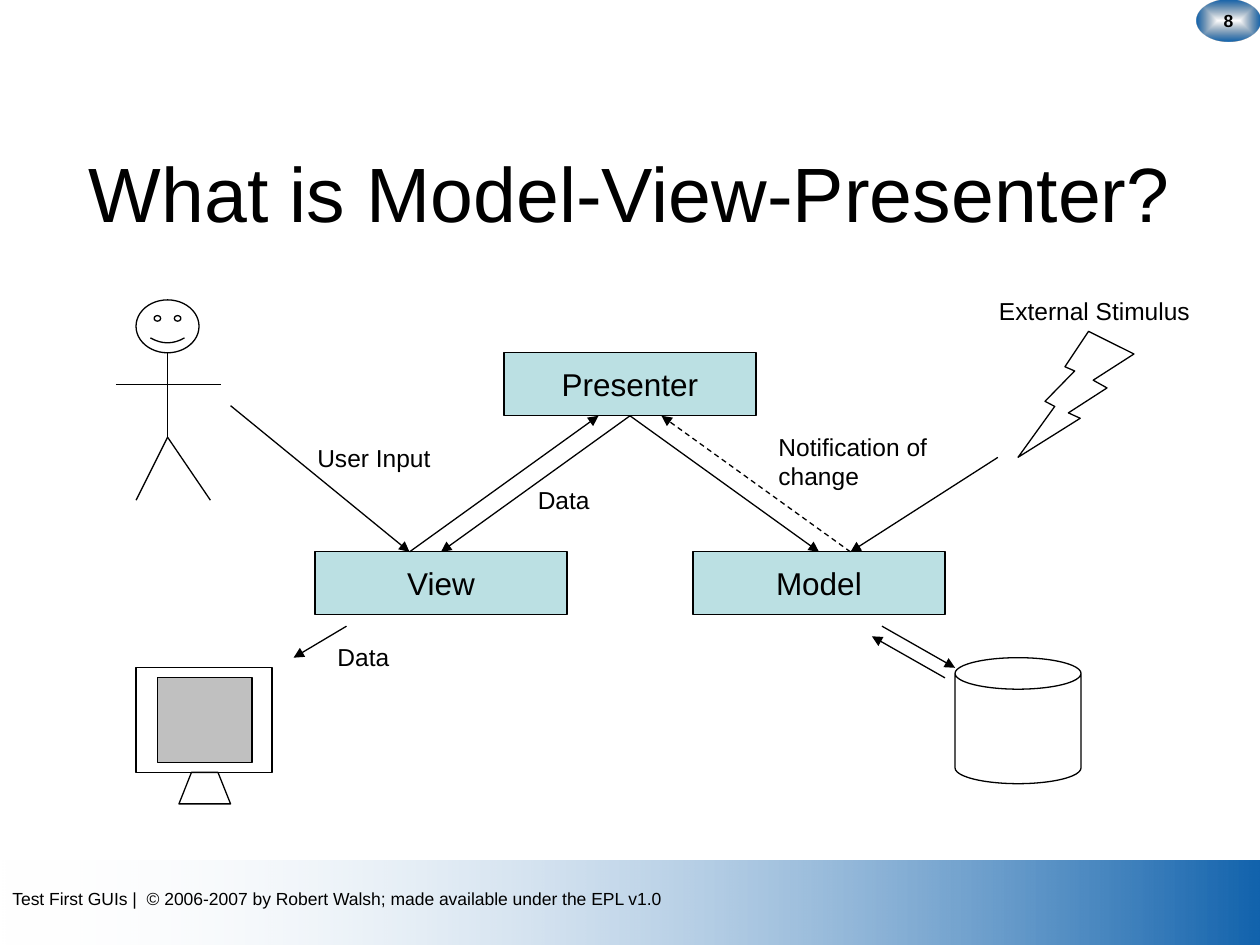
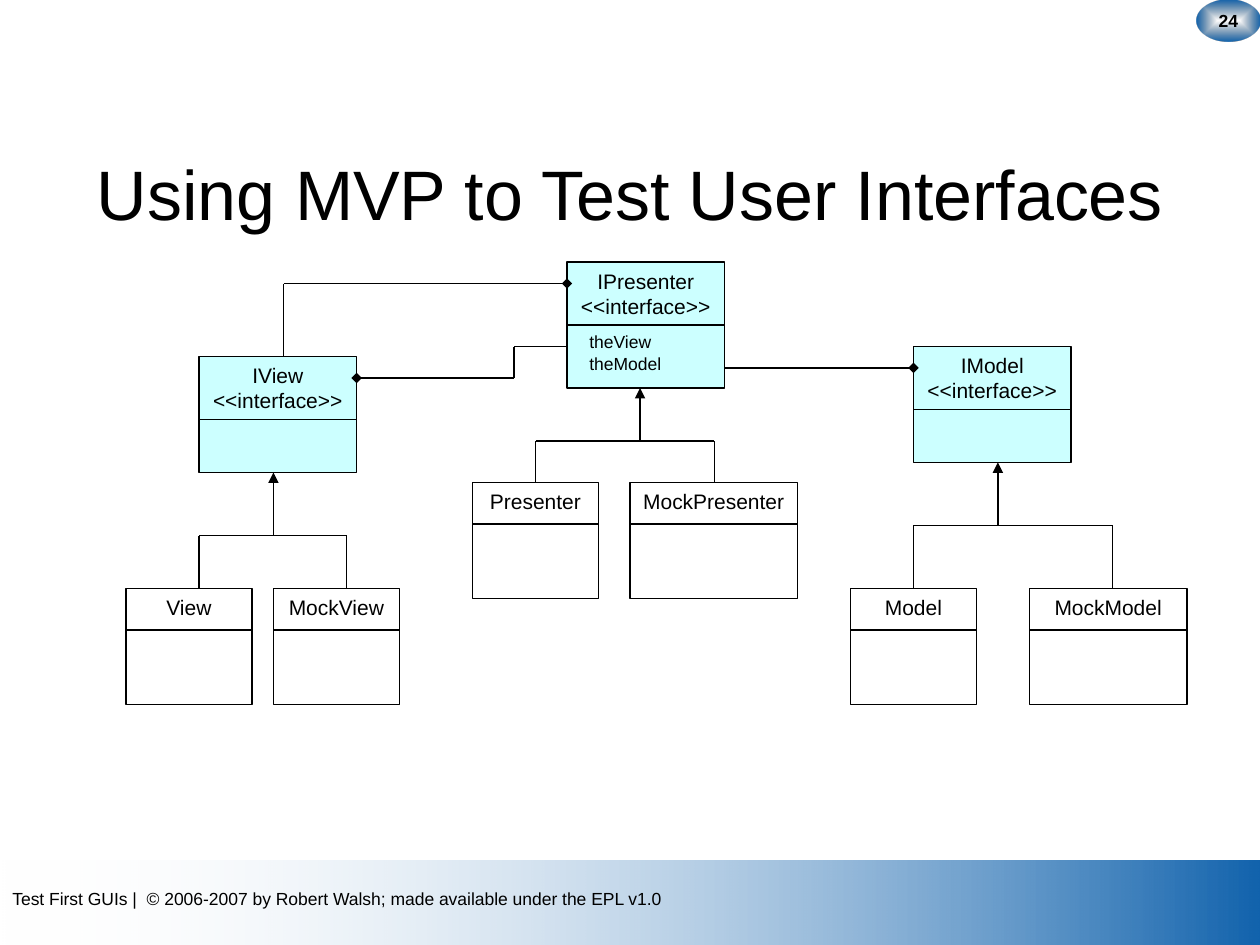
from lxml import etree
from pptx import Presentation
from pptx.dml.color import RGBColor
from pptx.enum.dml import MSO_LINE
from pptx.enum.shapes import MSO_CONNECTOR, MSO_SHAPE
from pptx.enum.text import MSO_ANCHOR, MSO_AUTO_SIZE, PP_ALIGN
from pptx.oxml import parse_xml
from pptx.oxml.ns import nsdecls, qn
from pptx.util import Inches, Pt

BLACK = RGBColor(0x00, 0x00, 0x00)
WHITE = RGBColor(0xFE, 0xFE, 0xFE)
BLUE = RGBColor(0x12, 0x63, 0xAD)
NAVY = RGBColor(0x08, 0x2D, 0x4F)
TEAL = RGBColor(0xBB, 0xE0, 0xE3)
PALE_CYAN = RGBColor(0xCC, 0xFF, 0xFF)
SILVER = RGBColor(0xC0, 0xC0, 0xC0)

FONT = "Arial"
LINE_WIDTH = Pt(0.75)
FOOTER = "Test First GUIs |  © 2006-2007 by Robert Walsh; made available under the EPL v1.0"
RECT, OVAL = MSO_SHAPE.RECTANGLE, MSO_SHAPE.OVAL
CAN, SMILEY, BOLT = MSO_SHAPE.CAN, MSO_SHAPE.SMILEY_FACE, MSO_SHAPE.LIGHTNING_BOLT
STRAIGHT, DASH = MSO_CONNECTOR.STRAIGHT, MSO_LINE.DASH
LEFT, CENTER = PP_ALIGN.LEFT, PP_ALIGN.CENTER
TOP, MIDDLE = MSO_ANCHOR.TOP, MSO_ANCHOR.MIDDLE
NO_FIT = MSO_AUTO_SIZE.NONE


def write_text(shape, text, size, align=LEFT, anchor=TOP, wrap=True, bold=False):
    frame = shape.text_frame
    frame.text = text
    frame_format = {"word_wrap": wrap, "auto_size": NO_FIT, "vertical_anchor": anchor}
    for name, value in frame_format.items():
        setattr(frame, name, value)
    paragraph = frame.paragraphs[0]
    paragraph.alignment = align
    font_format = {"name": FONT, "size": Pt(size), "bold": bold}
    for name, value in font_format.items():
        setattr(paragraph.font, name, value)
    paragraph.font.color.rgb = BLACK


def add_label(shapes, text, left, top, width, height=0.34, size=14, align=LEFT):
    label = shapes.add_textbox(Inches(left), Inches(top), Inches(width), Inches(height))
    write_text(label, text, size, align)


def style_outline(shape, fill=None):
    shape.shadow.inherit = False
    if fill is None:
        shape.fill.background()
    else:
        shape.fill.solid()
        shape.fill.fore_color.rgb = fill
    shape.line.color.rgb = BLACK
    shape.line.width = LINE_WIDTH


def add_outlined(shapes, kind, left, top, width, height, fill=None):
    shape = shapes.add_shape(kind, Inches(left), Inches(top), Inches(width), Inches(height))
    style_outline(shape, fill)
    return shape


def add_line(shapes, start, end, tip=None, dash=None):
    """Draw a straight line; tip names the arrowhead at its end."""
    connector = shapes.add_connector(STRAIGHT, *(Inches(value) for value in (*start, *end)))
    connector.line.color.rgb = BLACK
    connector.line.width = LINE_WIDTH
    if dash:
        connector.line.dash_style = dash
    properties = connector.element.spPr
    if tip:
        etree.SubElement(properties.find(qn("a:ln")), qn("a:tailEnd"), type=tip)
    etree.SubElement(properties, qn("a:effectLst"))


def add_route(shapes, points, tip=None):
    """Join the points in turn, with the tip on the last stretch only."""
    last = len(points) - 2
    for index, (start, end) in enumerate(zip(points, points[1:])):
        add_line(shapes, start, end, tip if index == last else None)


def add_gradient_shape(page, kind, left, top, width, height, clear, solid):
    """Add a shape that fades from a fully transparent colour to a solid one."""
    shape = page.shapes.add_shape(kind, Inches(left), Inches(top), Inches(width), Inches(height))
    shape.shadow.inherit = False
    shape.line.fill.background()
    shape.fill.gradient()
    shape.fill.gradient_angle = 0
    for stop, color in zip(shape.fill.gradient_stops, (clear, solid)):
        stop.color.rgb = color
    clear_color = shape.element.spPr.find(".//" + qn("a:srgbClr"))
    etree.SubElement(clear_color, qn("a:alpha"), val="0")
    return shape


def add_page_number(page, number):
    badge = add_gradient_shape(page, OVAL, 9.5, 0, 0.5, 0.33, NAVY, BLUE)
    gradient = badge.element.spPr.find(qn("a:gradFill"))
    gradient.replace(gradient.find(qn("a:lin")), parse_xml(
        f'<a:path {nsdecls("a")} path="rect">'
        '<a:fillToRect l="50000" t="50000" r="50000" b="50000"/></a:path>'))
    write_text(badge, str(number), 10, CENTER, MIDDLE, wrap=False, bold=True)


def add_page(deck, title, title_size, number):
    """Add a slide with the shared footer band, page number and title."""
    page = deck.slides.add_slide(deck.slide_layouts[5])
    add_gradient_shape(page, RECT, 0, 6.83, 10, 0.67, WHITE, BLUE)
    add_label(page.shapes, FOOTER, 0, 7, 9, 0.27, size=10)
    add_page_number(page, number)
    heading = page.shapes.title
    place = {"left": 0.5, "top": 0.9, "width": 9, "height": 1.25}
    for name, value in place.items():
        setattr(heading, name, Inches(value))
    write_text(heading, title, title_size, CENTER, MIDDLE)
    return page


def draw_user(page, left, top):
    shapes = page.shapes.add_group_shape().shapes
    middle, neck, hip, feet = left + 0.41, top + 0.42, top + 1.09, top + 1.59
    face = add_outlined(shapes, SMILEY, left + 0.16, top, 0.5, 0.42)
    face.adjustments[0] = 0.093
    add_line(shapes, (middle, neck), (middle, hip))
    for foot in (left + 0.16, left + 0.75):
        add_line(shapes, (middle, hip), (foot, feet))
    add_line(shapes, (left, top + 0.67), (left + 0.83, top + 0.67))


def draw_monitor(page, left, top):
    shapes = page.shapes.add_group_shape().shapes
    add_outlined(shapes, RECT, left, top, 1.08, 0.83)
    add_outlined(shapes, RECT, left + 0.17, top + 0.08, 0.75, 0.67, SILVER)
    stand = ((0.34, 1.08), (0.75, 1.08), (0.65, 0.83), (0.44, 0.83))
    corners = [(Inches(left + across), Inches(top + down)) for across, down in stand]
    builder = shapes.build_freeform(*corners[0])
    builder.add_line_segments(corners[1:])
    style_outline(builder.convert_to_shape())


def draw_bolt(page, left, top):
    bolt = add_outlined(page.shapes, BOLT, left, top, 0.92, 1)
    bolt.element.spPr.find(qn("a:xfrm")).set("flipH", "1")


def build_overview(deck):
    page = add_page(deck, "What is Model-View-Presenter?", 44, 8)
    shapes = page.shapes
    for name, left, top in (("Model", 5.5, 4.38), ("View", 2.5, 4.38), ("Presenter", 4, 2.8)):
        part = add_outlined(shapes, RECT, left, top, 2, 0.5, TEAL)
        write_text(part, name, 18, CENTER, MIDDLE, wrap=False)
    arrows = (
        ((5, 3.3), (3.5, 4.38)),
        ((5, 3.3), (6.5, 4.38)),
        ((3.25, 4.38), (4.75, 3.3)),
        ((1.83, 3.22), (3.25, 4.38)),
        ((2.75, 4.97), (2.33, 5.22)),
        ((7, 4.97), (7.58, 5.3)),
        ((7.5, 5.38), (6.92, 5.05)),
        ((7.92, 3.63), (6.75, 4.38)),
    )
    for start, end in arrows:
        add_line(shapes, start, end, "triangle")
    add_line(shapes, (6.75, 4.38), (5.25, 3.3), "triangle", DASH)
    draw_user(page, 0.92, 2.38)
    draw_monitor(page, 1.08, 5.3)
    draw_bolt(page, 8.08, 2.63)
    add_outlined(shapes, CAN, 7.58, 5.22, 1, 1)
    labels = (
        ("User Input", 2.42, 3.47, 1.17),
        ("Data", 4.17, 3.8, 0.67),
        ("Data", 2.58, 5.05, 0.67),
        ("External Stimulus", 7.83, 2.3, 1.8),
    )
    for label in labels:
        add_label(shapes, *label)
    add_label(shapes, "Notification of change", 6.08, 3.38, 1.5, 0.57)


def draw_class(page, name, left, top, width, height=0.92, header=0.33, fill=None, fields=()):
    """Draw a class box: its name over a divider, its fields below."""
    shapes = page.shapes.add_group_shape().shapes
    add_outlined(shapes, RECT, left, top, width, height, fill)
    divider = top + header
    add_line(shapes, (left, divider), (left + width, divider))
    add_label(shapes, name, left, top, width, header, size=12, align=CENTER)
    for row, field in enumerate(fields):
        add_label(shapes, field, left + 0.08, divider + 0.17 * row, 1, 0.27, size=10)


def draw_inheritance(page, parent, rail, children, child_top):
    """Join the child boxes by a rail that points up to the parent."""
    center = parent[0]
    add_line(page.shapes, (center, rail), parent, "triangle")
    for child in children:
        add_route(page.shapes, [(center, rail), (child, rail), (child, child_top)])


def build_class_diagram(deck):
    page = add_page(deck, "Using MVP to Test User Interfaces", 40, 24)
    interfaces = (
        ("IModel", 7.25, 2.75, 0.92, ()),
        ("IView", 1.58, 2.83, 0.92, ()),
        ("IPresenter", 4.5, 2.08, 1, ("theView", "theModel")),
    )
    for name, left, top, height, fields in interfaces:
        draw_class(page, f"{name} <<interface>>", left, top, 1.25, height, 0.5, PALE_CYAN, fields)
    classes = (
        ("View", 1, 4.67, 1),
        ("MockView", 2.17, 4.67, 1),
        ("Presenter", 3.75, 3.83, 1),
        ("MockPresenter", 5, 3.83, 1.33),
        ("Model", 6.75, 4.67, 1),
        ("MockModel", 8.17, 4.67, 1.25),
    )
    for entry in classes:
        draw_class(page, *entry)
    draw_inheritance(page, (2.17, 3.75), 4.25, (1.58, 2.75), 4.67)
    draw_inheritance(page, (5.08, 3.08), 3.5, (4.25, 5.67), 3.83)
    draw_inheritance(page, (7.92, 3.67), 4.17, (7.25, 8.83), 4.67)
    associations = (
        [(5.75, 2.92), (7.25, 2.92)],
        [(4.5, 2.75), (4.08, 2.75), (4.08, 3), (2.83, 3)],
        [(2.25, 2.83), (2.25, 2.25), (4.5, 2.25)],
    )
    for points in associations:
        add_route(page.shapes, points, "diamond")


def main():
    deck = Presentation()
    deck.slide_width, deck.slide_height = Inches(10), Inches(7.5)
    build_overview(deck)
    build_class_diagram(deck)
    deck.save("out.pptx")


if __name__ == "__main__":
    main()
